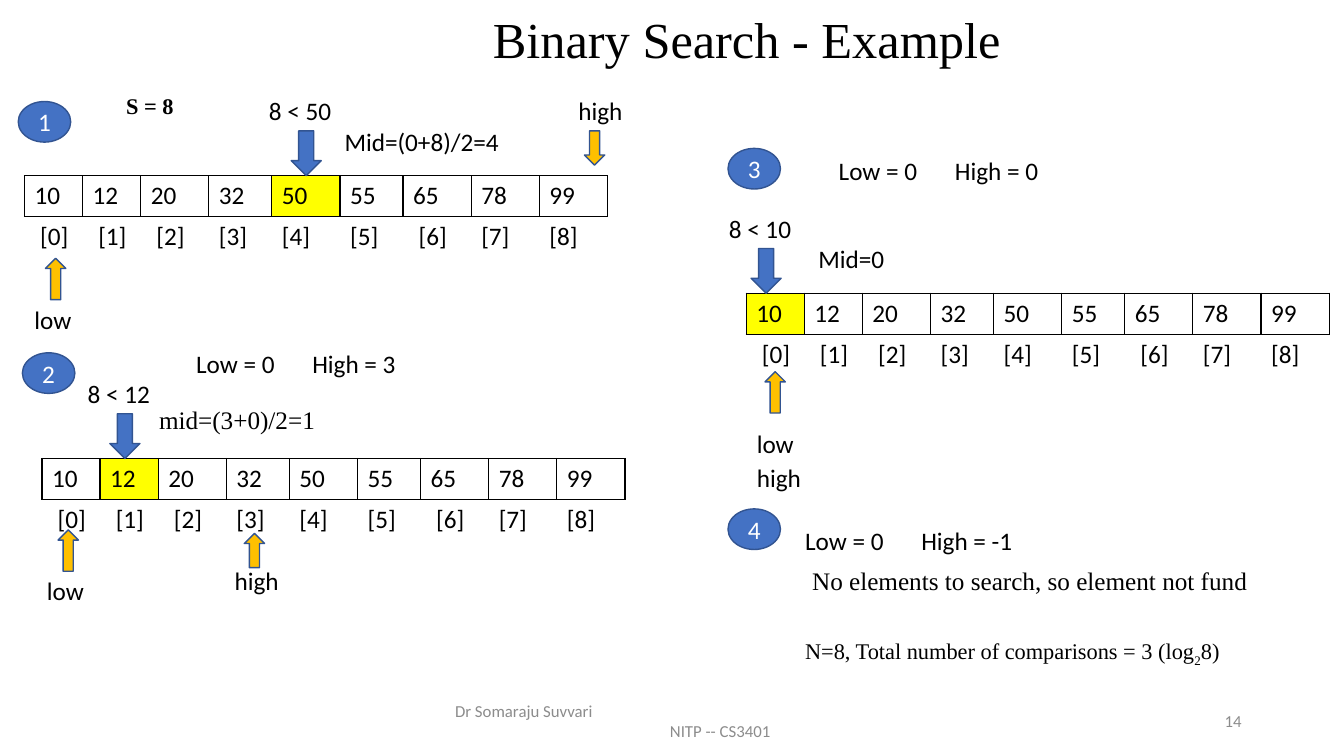
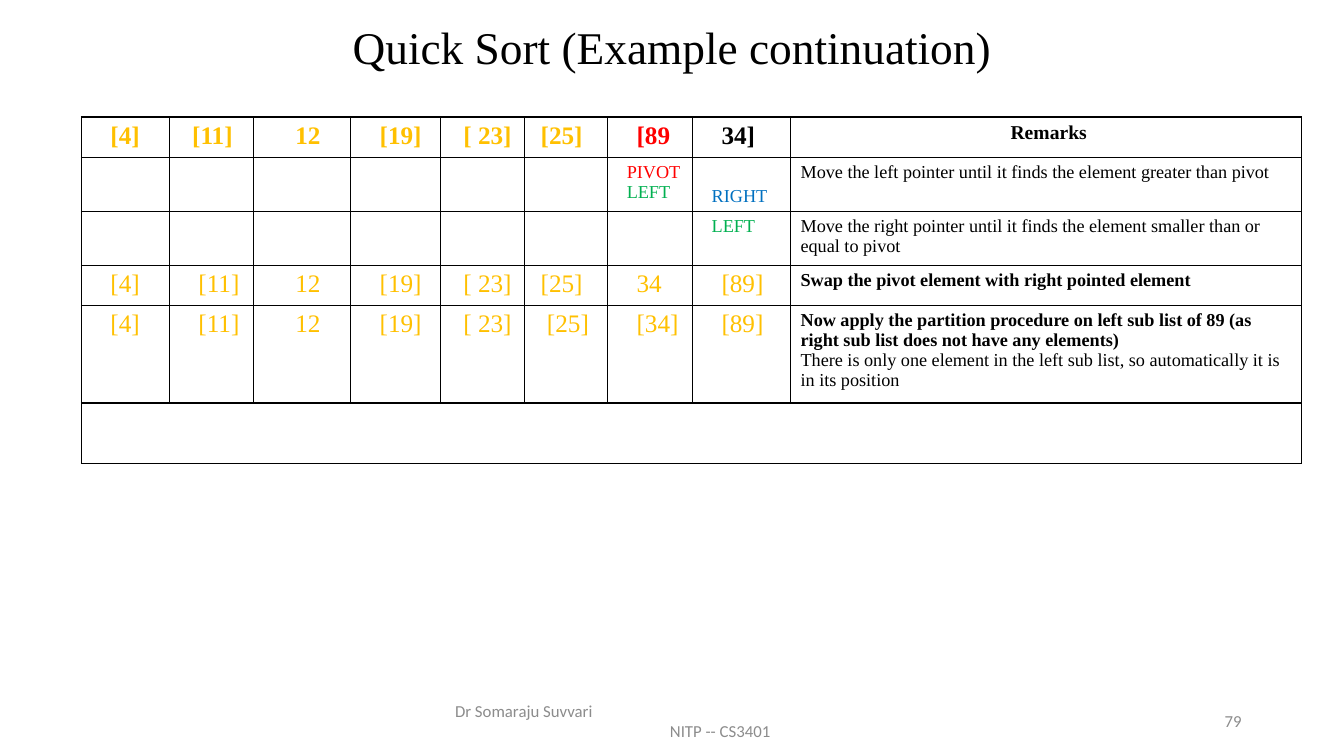
"""Two lecture slides: a binary search trace and a quick sort trace."""
from dataclasses import dataclass
from typing import Optional

from lxml import etree
from pptx import Presentation
from pptx import util as u
from pptx.dml.color import RGBColor
from pptx.enum import shapes, text
from pptx.oxml import ns

Pt = u.Pt
COLORS = {
    "black": "000000", "white": "FFFFFF", "gray": "8C8C8C", "blue": "4472C4",
    "outline": "325491", "gold": "FFC000", "yellow": "FFFF00", "red": "FF0000",
    "green": "00B050", "azure": "0070C0",
}
SANS, SERIF = "Calibri", "Times New Roman"
CENTER, RIGHT = text.PP_ALIGN.CENTER, text.PP_ALIGN.RIGHT
TOP, MIDDLE, BOTTOM = text.MSO_ANCHOR.TOP, text.MSO_ANCHOR.MIDDLE, text.MSO_ANCHOR.BOTTOM
ARROW_UP, ARROW_DOWN = shapes.MSO_SHAPE.UP_ARROW, shapes.MSO_SHAPE.DOWN_ARROW
PLAIN_TABLE_STYLE = "{2D5ABB26-0587-4C30-8999-92F81FD0307C}"
CELL_INSET = 7.2
TITLE_ONLY = 5


@dataclass(frozen=True)
class Style:
    """Look of a run of text."""
    size: float = 18
    font: str = SANS
    color: str = "black"
    bold: bool = False


@dataclass(frozen=True)
class Line:
    """One paragraph with its style."""
    text: str
    style: Style


@dataclass(frozen=True)
class Cell:
    """Content of a table cell; pad is added to the left inset."""
    lines: tuple = ()
    pad: float = 0
    fill: Optional[str] = "white"
    border: bool = True
    align: Optional[int] = None
    anchor: int = TOP


@dataclass(frozen=True)
class Label:
    """A free line of text."""
    text: str
    left: float
    top: float
    width: float
    style: Style = Style()


@dataclass(frozen=True)
class Pointer:
    """A low or high arrow beside an array."""
    kind: int
    left: float
    top: float
    height: float


@dataclass(frozen=True)
class Step:
    """An array with the probed element and the arrow above it."""
    left: float
    top: float
    probe: int
    arrow_left: float
    comparison: str


@dataclass(frozen=True)
class Badge:
    """A numbered ellipse."""
    number: int
    left: float
    top: float


def rgb(name: str) -> RGBColor:
    """Look up a colour by name."""
    return RGBColor.from_string(COLORS[name])


def format_paragraph(paragraph, style: Style, align=None) -> None:
    """Apply a style to every run of a paragraph."""
    paragraph.alignment = align
    for run in paragraph.runs:
        run.font.size, run.font.name, run.font.bold = Pt(style.size), style.font, style.bold
        run.font.color.rgb = rgb(style.color)


def write_lines(text_frame, lines, align=None) -> None:
    """Fill a text frame with styled paragraphs."""
    text_frame.text = "\n".join(line.text for line in lines)
    for paragraph, line in zip(text_frame.paragraphs, lines):
        format_paragraph(paragraph, line.style, align)


def add_label(slide, label: Label, height: float = 29, align=None, anchor=TOP):
    """Add a text box holding one line and return its text frame."""
    box = slide.shapes.add_textbox(Pt(label.left), Pt(label.top), Pt(label.width), Pt(height))
    box.text_frame.word_wrap = True
    box.text_frame.vertical_anchor = anchor
    write_lines(box.text_frame, [Line(label.text, label.style)], align)
    return box.text_frame


def add_solid(slide, kind, left: float, top: float, width: float, height: float, fill: str):
    """Add a filled preset shape with the common outline."""
    shape = slide.shapes.add_shape(kind, Pt(left), Pt(top), Pt(width), Pt(height))
    shape.shadow.inherit = False
    shape.fill.solid()
    shape.fill.fore_color.rgb = rgb(fill)
    shape.line.color.rgb = rgb("outline")
    shape.line.width = Pt(1)
    return shape


def add_badge(slide, badge: Badge) -> None:
    """Add a numbered ellipse."""
    shape = add_solid(slide, shapes.MSO_SHAPE.OVAL, badge.left, badge.top, 37.5, 29, "blue")
    frame = shape.text_frame
    frame.margin_left = frame.margin_right = frame.margin_top = frame.margin_bottom = 0
    frame.vertical_anchor = MIDDLE
    write_lines(frame, [Line(str(badge.number), Style(color="white"))], CENTER)


def set_borders(cell) -> None:
    """Give a cell a thin black line on each side."""
    properties = cell._tc.get_or_add_tcPr()
    for side in ("a:lnL", "a:lnR", "a:lnT", "a:lnB"):
        border = etree.SubElement(properties, ns.qn(side), w=str(Pt(1)))
        fill = etree.SubElement(border, ns.qn("a:solidFill"))
        etree.SubElement(fill, ns.qn("a:srgbClr"), val=COLORS["black"])


def fill_cell(cell, content: Cell) -> None:
    """Write and format one table cell."""
    if content.border:
        set_borders(cell)
    if content.fill:
        cell.fill.solid()
        cell.fill.fore_color.rgb = rgb(content.fill)
    else:
        cell.fill.background()
    cell.margin_left = Pt(CELL_INSET + content.pad)
    cell.vertical_anchor = content.anchor
    if content.lines:
        write_lines(cell.text_frame, content.lines, content.align)


def add_grid(slide, left: float, top: float, widths, heights, rows):
    """Add a table of Cell rows and return it."""
    frame = slide.shapes.add_table(len(heights), len(widths), Pt(left), Pt(top),
                                   Pt(sum(widths)), Pt(sum(heights)))
    table = frame.table
    table.first_row = table.horz_banding = False
    table._tbl.tblPr.find(ns.qn("a:tableStyleId")).text = PLAIN_TABLE_STYLE
    for column, width in zip(table.columns, widths):
        column.width = Pt(width)
    for row, height, contents in zip(table.rows, heights, rows):
        row.height = Pt(height)
        for cell, content in zip(row.cells, contents):
            fill_cell(cell, content)
    return table


def add_page(presentation, title: str, number: int, area, size: float):
    """Add a title-only slide with its title, footer and number."""
    slide = presentation.slides.add_slide(presentation.slide_layouts[TITLE_ONLY])
    shape = slide.shapes.title
    shape.left, shape.top, shape.width, shape.height = (Pt(value) for value in area)
    frame = shape.text_frame
    frame.auto_size = text.MSO_AUTO_SIZE.NONE
    frame.vertical_anchor = MIDDLE
    write_lines(frame, [Line(title, Style(size, SERIF))], CENTER)
    frame.paragraphs[0].line_spacing = 0.9

    small = Style(12, color="gray")
    footer = add_label(slide, Label("Dr Somaraju Suvvari", 318, 500.5, 324, small), anchor=MIDDLE)
    course = footer.add_paragraph()
    course.text = "NITP -- CS3401"
    format_paragraph(course, small)
    course._p.get_or_add_pPr().set("marL", str(Pt(153.5)))
    add_label(slide, Label(str(number), 678, 500.5, 216, small), align=RIGHT, anchor=MIDDLE)
    return slide


VALUES = (10, 12, 20, 32, 50, 55, 65, 78, 99)
ARRAY_WIDTHS = (41.5, 41.5, 48.7, 45, 48.7, 45, 48.7, 48.7, 48.7)
INDENTED_INDEXES = (0, 1, 2, 6)
STEPS = (
    Step(17.5, 125.5, 4, 208, "8 < 50"),
    Step(30, 327.5, 1, 78.5, "8 < 12"),
    Step(533, 209.5, 0, 536.5, "8 < 10"),
)
BADGES = (Badge(1, 13, 72.5), Badge(2, 16, 252), Badge(3, 520, 106), Badge(4, 520, 363.5))
POINTERS = (
    Pointer(ARROW_UP, 32.5, 184.5, 29.5), Pointer(ARROW_DOWN, 417.5, 93.5, 24.5),
    Pointer(ARROW_UP, 174.5, 381, 24.5), Pointer(ARROW_UP, 41.5, 378.5, 29.5),
    Pointer(ARROW_UP, 546.5, 265.5, 29.5),
)
RANGES = ((133, 245, 3), (592, 107.5, 0), (568, 371.5, -1))
LABELS = (
    Label("Mid=(0+8)/2=4", 239, 86.5, 132),
    Label("mid=(3+0)/2=1", 106.5, 285, 132, Style(font=SERIF)),
    Label("Mid=0", 577.5, 170, 73.5),
    Label("low", 17.5, 214, 45), Label("high", 406, 64.5, 54),
    Label("high", 160.5, 400.5, 54), Label("low", 26.5, 407.5, 45),
    Label("high", 533.5, 327, 54), Label("low", 533.5, 302.5, 45),
    Label("S = 8", 83, 62.5, 69, Style(16, SERIF, bold=True)),
    Label("No elements to search, so element not fund", 573, 400.5, 361, Style(font=SERIF)),
)


def add_step(slide, step: Step) -> None:
    """Draw an array, its indexes and the probe above it."""
    values = [Cell((Line(str(value), Style()),), fill="yellow" if index == step.probe else "white")
              for index, value in enumerate(VALUES)]
    indexes = [Cell((Line(f"[{index}]", Style()),), 4 if index in INDENTED_INDEXES else 0,
                    fill=None, border=False) for index in range(len(VALUES))]
    add_grid(slide, step.left, step.top, ARRAY_WIDTHS, (29.2, 29.2), (values, indexes))
    add_solid(slide, ARROW_DOWN, step.arrow_left, step.top - 32, 21.5, 32, "blue")
    add_label(slide, Label(step.comparison, step.arrow_left - 23, step.top - 61, 67.5))


def build_binary_search(presentation) -> None:
    """Build the binary search slide."""
    slide = add_page(presentation, "Binary Search - Example", 14, (225.5, 5, 616, 51), 36)
    for step in STEPS:
        add_step(slide, step)
    for pointer in POINTERS:
        add_solid(slide, pointer.kind, pointer.left, pointer.top, 14.5, pointer.height, "gold")
    for badge in BADGES:
        add_badge(slide, badge)
    for label in LABELS:
        add_label(slide, label)
    for left, top, high in RANGES:
        add_label(slide, Label("Low = 0", left, top, 82))
        add_label(slide, Label(f"High = {high}", left + 83, top, 88.5))

    style = Style(16, SERIF)
    total = Label("N=8, Total number of comparisons = 3 (log", 568, 451.5, 330, style)
    paragraph = add_label(slide, total).paragraphs[0]
    for part in ("2", "8)"):
        paragraph.add_run().text = part
    format_paragraph(paragraph, style)
    paragraph.runs[1]._r.get_or_add_rPr().set("baseline", "-25000")


SORT_WIDTHS = (62.9, 60.2, 69.3, 64.3, 59.7, 59.5, 60.7, 70, 364.9)
SORT_HEIGHTS = (27.2, 36, 36, 27.2, 64.4, 43)
SORT_PADS = (13.5, 13.5, 22.5, 13.5, 9, 4.5, 13.5, 13.5)
POINTER_PAD = 6.5
SORTED_LEFT = ("[4]", "[11]", "12", "[19]", "[ 23]", "[25]")


def number_cells(values, bold: bool = False, colors=None, pads=None) -> list:
    """Make the number cells of one list state."""
    colors, pads = colors or {}, pads or {}
    return [Cell((Line(value, Style(18, SERIF, colors.get(index, "gold"), bold)),),
                 pads.get(index, SORT_PADS[index])) for index, value in enumerate(values)]


def note(words: str, color: str = "black", bold: bool = False, size: float = 13) -> Line:
    """Make a small line for a pointer name or a remark."""
    return Line(words, Style(size, SERIF, color, bold))


def build_quick_sort(presentation) -> None:
    """Build the quick sort slide."""
    slide = add_page(presentation, "Quick Sort (Example continuation)", 79, (66, 14.5, 828, 42.5), 32.4)
    empty, left = Cell(), note("LEFT", "green")
    rows = (
        number_cells(SORTED_LEFT + ("[89", "34]"), True, {6: "red", 7: "black"}, {1: 9})
        + [Cell((note("Remarks", bold=True, size=14),), 4, align=CENTER)],
        [empty] * 6 + [
            Cell((note("PIVOT", "red"), left), POINTER_PAD),
            Cell((note("RIGHT", "azure"),), POINTER_PAD, anchor=BOTTOM),
            Cell((note("Move the left pointer until it finds the element greater than pivot"),))],
        [empty] * 7 + [
            Cell((left,), POINTER_PAD),
            Cell((note("Move the right pointer until it finds the element smaller than or "
                       "equal to pivot"),))],
        number_cells(SORTED_LEFT + ("34", "[89]"))
        + [Cell((note("Swap the pivot element with right pointed element", bold=True),))],
        number_cells(SORTED_LEFT + ("[34]", "[89]"), pads={5: 9})
        + [Cell((note("Now apply the partition procedure on left sub list of 89 (as right sub "
                      "list does not have any elements)", bold=True),
                 note("There is only one element in the left sub list, so automatically it is "
                      "in its position")))],
        [empty] * 9,
    )
    table = add_grid(slide, 58.2, 83.6, SORT_WIDTHS, SORT_HEIGHTS, rows)
    table.cell(5, 0).merge(table.cell(5, 8))


def main() -> None:
    """Build and save the presentation."""
    presentation = Presentation()
    presentation.slide_width, presentation.slide_height = Pt(960), Pt(540)
    build_binary_search(presentation)
    build_quick_sort(presentation)
    presentation.save("out.pptx")


main()
